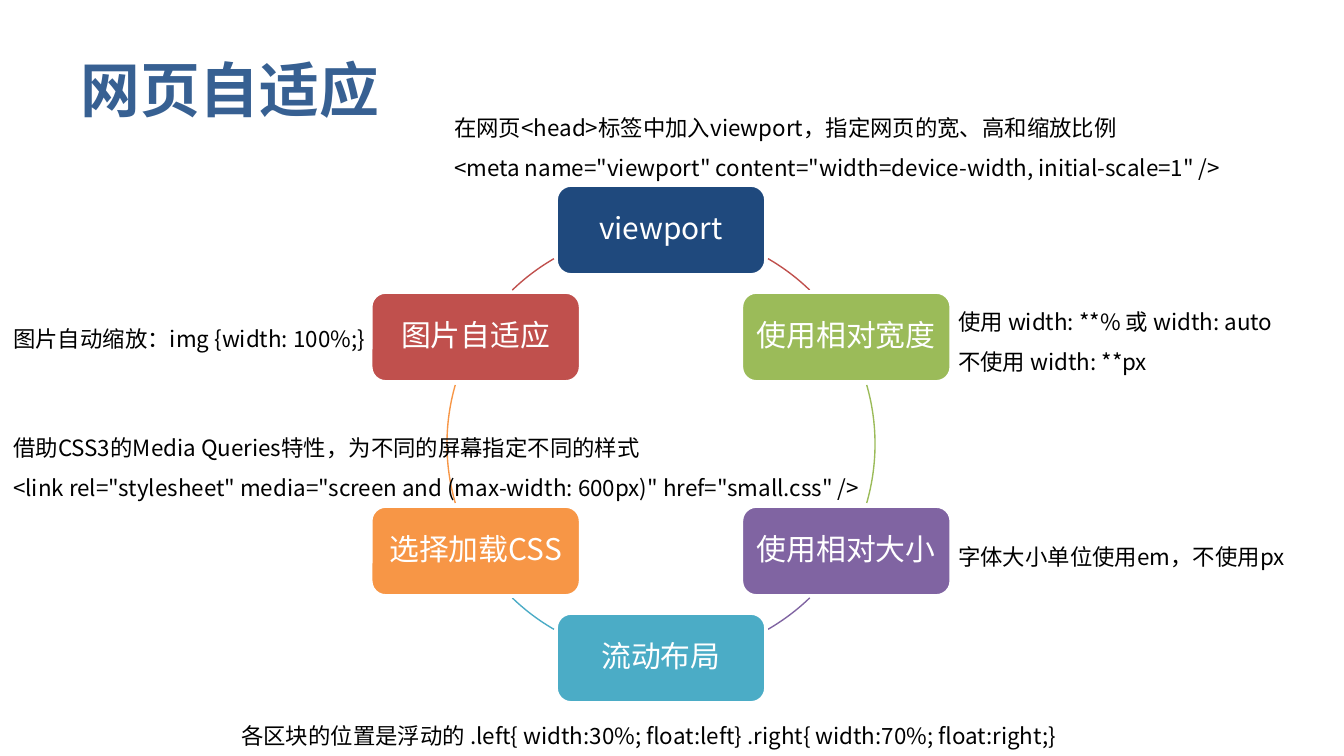
from lxml.etree import SubElement
from pptx import Presentation
from pptx.dml.color import RGBColor
from pptx.enum.shapes import MSO_SHAPE
from pptx.enum.text import MSO_ANCHOR, MSO_AUTO_SIZE, PP_ALIGN
from pptx.oxml.ns import qn
from pptx.util import Pt
from math import cos, radians, sin

PX = 9144000 / 1344
FONT = "Noto Sans CJK SC"


def px(*lengths):
    """Turn pixel lengths into EMU."""
    return [round(n * PX) for n in lengths]


def format_text(tf, size, color, spacing=None, align=PP_ALIGN.LEFT, bold=False):
    tf.word_wrap = True
    for p in tf.paragraphs:
        p.alignment = align
        p.line_spacing = spacing
        for r in p.runs:
            r.font.name = FONT
            r.font.size = Pt(size)
            r.font.bold = bold
            r.font.color.rgb = RGBColor.from_string(color)
            SubElement(r.font._element, qn("a:ea"), typeface=FONT)


prs = Presentation()
prs.slide_width, prs.slide_height = px(1344, 756)
s = prs.slides.add_slide(prs.slide_layouts[5])

title = s.shapes.title
title.left, title.top, title.width, title.height = px(67, 40, 1210, 97)
title.text_frame.text = "网页自适应"
title.text_frame.vertical_anchor = MSO_ANCHOR.MIDDLE
format_text(title.text_frame, 32, "376092", bold=True)

# Cycle: six boxes evenly spaced on a circle, clockwise from the top
CX, CY, RADIUS = 661, 444, 214
BOX_W, BOX_H = 210, 90
# label, box colour, colour, start and end angle of the arc to the next box
cycle = [
    ("viewport", "1F497D", "C0504D", 300, 314),
    ("使用相对宽度", "9BBB59", "9BBB59", 344, 16),
    ("使用相对大小", "8064A2", "8064A2", 46, 60),
    ("流动布局", "4BACC6", "4BACC6", 120, 134),
    ("选择加载CSS", "F79646", "F79646", 164, 196),
    ("图片自适应", "C0504D", "C0504D", 226, 240),
]
for i, (label, fill, arc_color, start, end) in enumerate(cycle):
    angle = radians(60 * i - 90)
    x = CX + RADIUS * cos(angle) - BOX_W / 2
    y = CY + RADIUS * sin(angle) - BOX_H / 2
    box = s.shapes.add_shape(MSO_SHAPE.ROUNDED_RECTANGLE, *px(x, y, BOX_W, BOX_H))
    box.shadow.inherit = False
    box.fill.solid()
    box.fill.fore_color.rgb = RGBColor.from_string(fill)
    box.line.color.rgb = RGBColor.from_string("FFFFFF")
    box.line.width = Pt(2)
    tf = box.text_frame
    tf.margin_left, tf.margin_top, tf.margin_right, tf.margin_bottom = px(9, 9, 9, 9)
    tf.vertical_anchor = MSO_ANCHOR.MIDDLE
    tf.text = label
    format_text(tf, 16, "FFFFFF", 0.9, PP_ALIGN.CENTER)

    arc = s.shapes.add_shape(
        MSO_SHAPE.ARC, *px(CX - RADIUS, CY - RADIUS, 2 * RADIUS, 2 * RADIUS))
    arc.shadow.inherit = False
    # Angles are stored in 60000ths of a degree, adjustments in 100000ths
    arc.adjustments[0] = start * 0.6
    arc.adjustments[1] = end * 0.6
    arc.fill.background()
    arc.line.color.rgb = RGBColor.from_string(arc_color)
    arc.line.width = Pt(0.75)

notes = [
    (945, 288, 351, 90, "使用 width: **% 或 width: auto\n不使用 width: **px"),
    (945, 523, 355, 54, "字体大小单位使用em，不使用px"),
    (441, 94, 837, 95,
     "在网页<head>标签中加入viewport，指定网页的宽、高和缩放比例\n"
     '<meta name="viewport" content="width=device-width, initial-scale=1" />'),
    (0, 305, 387, 54, "图片自动缩放：img {width: 100%;}"),
    (0, 414, 913, 90,
     "借助CSS3的Media Queries特性，为不同的屏幕指定不同的样式\n"
     '<link rel="stylesheet" media="screen and (max-width: 600px)" href="small.css" />'),
    (228, 702, 864, 54,
     "各区块的位置是浮动的 .left{ width:30%; float:left} .right{ width:70%; float:right;}"),
]
for x, y, w, h, text in notes:
    tf = s.shapes.add_textbox(*px(x, y, w, h)).text_frame
    tf.auto_size = MSO_AUTO_SIZE.SHAPE_TO_FIT_TEXT
    tf.text = text
    format_text(tf, 12, "000000", 1.5)

prs.save("out.pptx")
